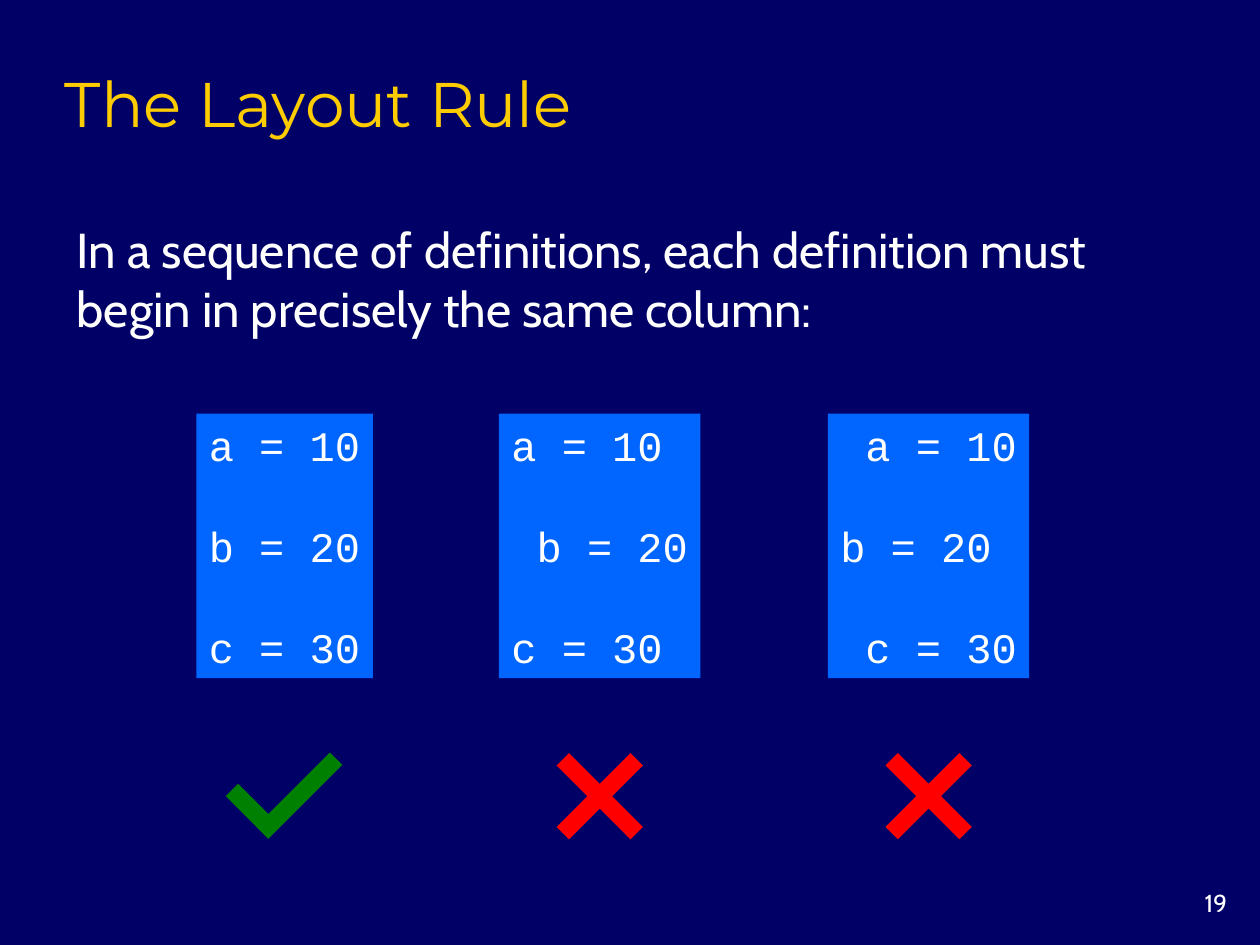
from dataclasses import dataclass

from pptx import Presentation
from pptx.dml.color import RGBColor
from pptx.enum.shapes import MSO_CONNECTOR, MSO_SHAPE
from pptx.enum.text import MSO_ANCHOR, PP_ALIGN
from pptx.oxml.ns import qn
from pptx.util import Cm, Pt
from lxml.etree import SubElement


@dataclass(frozen=True)
class Theme:
    back: str = "000066"
    title: str = "FFCC00"
    text: str = "FFFFFF"
    box: str = "0066FF"
    right: str = "008000"
    wrong: str = "FF0000"
    head_font: str = "Montserrat"
    body_font: str = "Cabin"
    code_font: str = "Courier New"
    title_pt: int = 36
    body_pt: int = 28
    code_pt: int = 24
    number_pt: int = 14
    code_gap_pt: float = 28.8
    mark_pt: int = 10


T = Theme()

TITLE = "The Layout Rule"
BODY = "In a sequence of definitions, each definition must begin in precisely the same column:"
NUMBER = "19"

TICK = [((0.91, -0.63), (-0.33, 0.61)), ((-0.94, 0), (-0.36, 0.58))]
CROSS = [((-0.62, -0.62), (0.62, 0.62)), ((0.62, -0.62), (-0.62, 0.62))]

EXAMPLES = [
    (3.96, 3.56, ["a = 10", "b = 20", "c = 30"], TICK, T.right),
    (10.06, 4.06, ["a = 10", " b = 20", "c = 30"], CROSS, T.wrong),
    (16.69, 4.06, [" a = 10", "b = 20", " c = 30"], CROSS, T.wrong),
]
BOX_TOP, BOX_H, MARK_Y = 8.34, 5.33, 16.05


def rgb(value):
    return RGBColor.from_string(value)


def add_run(p, text, font, size, color):
    r = p.add_run()
    r.text = text
    r.font.name = font
    r.font.size = Pt(size)
    r.font.color.rgb = rgb(color)


def add_text(s, at, text, font, size, color, anchor=MSO_ANCHOR.TOP, align=PP_ALIGN.LEFT):
    tf = s.shapes.add_textbox(*map(Cm, at)).text_frame
    tf.word_wrap = True
    tf.vertical_anchor = anchor
    p = tf.paragraphs[0]
    p.alignment = align
    add_run(p, text, font, size, color)


def add_code(s, left, width, lines):
    sp = s.shapes.add_shape(MSO_SHAPE.RECTANGLE, Cm(left), Cm(BOX_TOP), Cm(width), Cm(BOX_H))
    sp.shadow.inherit = False
    sp.fill.solid()
    sp.fill.fore_color.rgb = rgb(T.box)
    sp.line.fill.background()
    tf = sp.text_frame
    tf.word_wrap = False
    tf.vertical_anchor = MSO_ANCHOR.TOP
    for i, line in enumerate(lines):
        p = tf.add_paragraph() if i else tf.paragraphs[0]
        p.alignment = PP_ALIGN.LEFT
        if i:
            p.space_before = Pt(T.code_gap_pt)
        add_run(p, line, T.code_font, T.code_pt, T.text)


def add_mark(s, cx, strokes, color):
    for (x1, y1), (x2, y2) in strokes:
        ends = (cx + x1, MARK_Y + y1, cx + x2, MARK_Y + y2)
        ln = s.shapes.add_connector(MSO_CONNECTOR.STRAIGHT, *map(Cm, ends))
        ln.line.color.rgb = rgb(color)
        ln.line.width = Pt(T.mark_pt)
        pr = ln._element.spPr
        pr.find(qn("a:ln")).set("cap", "sq")
        SubElement(pr, qn("a:effectLst"))


def main():
    """Build the layout rule slide."""
    prs = Presentation()
    prs.slide_width, prs.slide_height = Cm(25.4), Cm(19.05)
    s = prs.slides.add_slide(prs.slide_layouts[6])
    s.background.fill.solid()
    s.background.fill.fore_color.rgb = rgb(T.back)
    add_text(s, (1.06, 1.05, 21.59, 1.9), TITLE, T.head_font, T.title_pt, T.title, MSO_ANCHOR.BOTTOM)
    add_text(s, (1.3, 4.29, 22.94, 2.64), BODY, T.body_font, T.body_pt, T.text, MSO_ANCHOR.MIDDLE)
    for left, width, lines, strokes, color in EXAMPLES:
        add_code(s, left, width, lines)
        add_mark(s, left + width / 2, strokes, color)
    add_text(s, (23.29, 17.78, 1.7, 0.84), NUMBER, T.body_font, T.number_pt, T.text, align=PP_ALIGN.RIGHT)
    prs.save("out.pptx")


if __name__ == "__main__":
    main()
